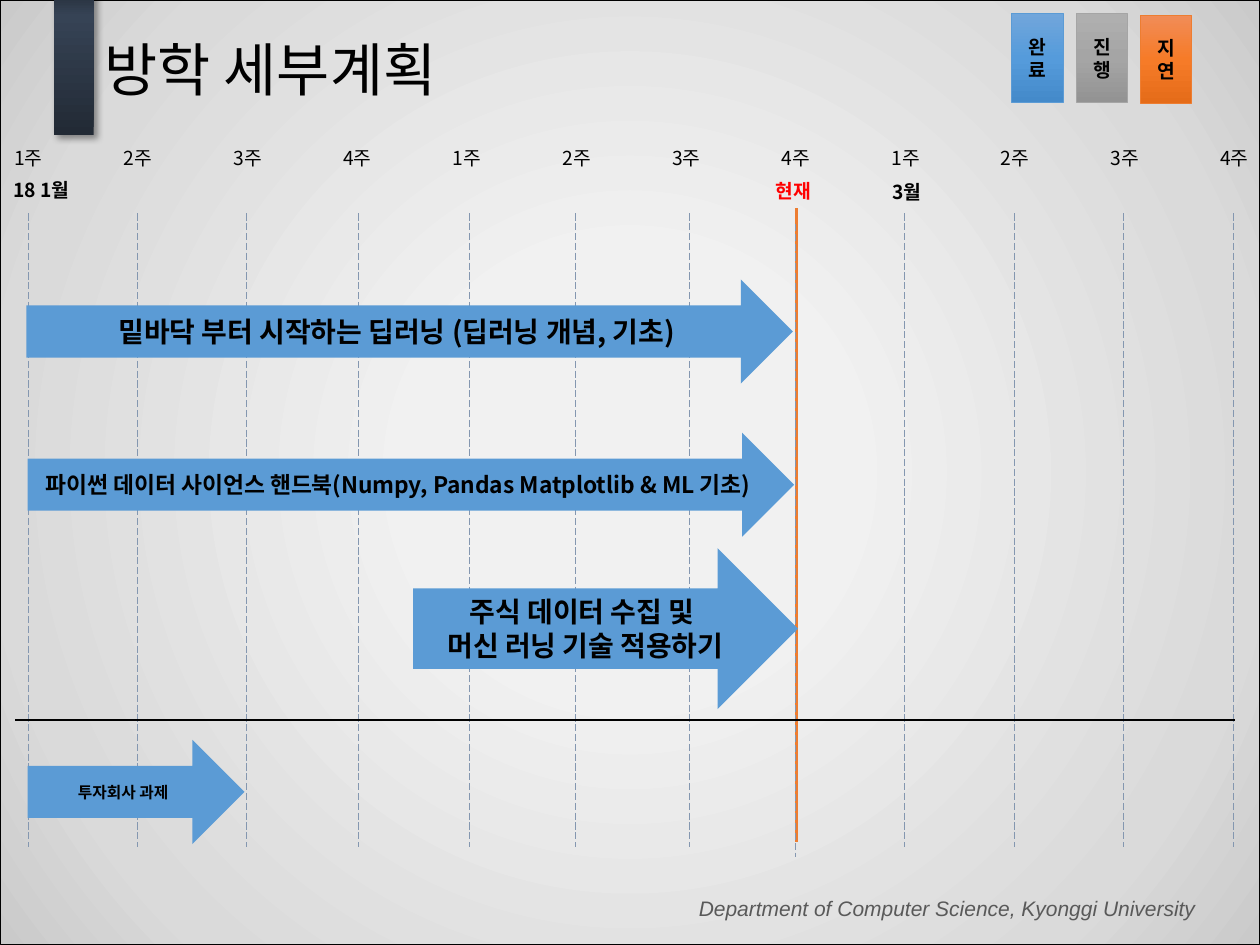
from lxml import etree
from pptx import Presentation
from pptx.dml.color import RGBColor
from pptx.enum import dml, shapes, text
from pptx.oxml import ns, parse_xml
from pptx.util import Pt

BLACK = RGBColor(0x00, 0x00, 0x00)
RED = RGBColor(0xFF, 0x00, 0x00)
GRAY = RGBColor(0x59, 0x59, 0x59)
BLUE = RGBColor(0x5B, 0x9B, 0xD5)
SILVER = RGBColor(0xA5, 0xA5, 0xA5)
ORANGE = RGBColor(0xED, 0x7D, 0x31)
GRID = RGBColor(0x84, 0x97, 0xB0)

KOREAN = "Noto Sans CJK KR"
MIDDLE = text.MSO_ANCHOR.MIDDLE
CENTER = text.PP_ALIGN.CENTER

WEEK_STEP = 62.65
GRID_X = [16, 78.5, 141, 205, 268.5, 329, 394, 454.5, 517, 579.5, 642, 705]
NOW_WEEK = 7

# Name, left, top, line colour, gradient stops
LEGEND = [
    ("완\n료", 578, 8, BLUE, [(0, "71A6DB"), (50, "559BDB"), (100, "448ACA")]),
    ("진\n행", 615, 8, SILVER, [(0, "AFAFAF"), (50, "A5A5A5"), (100, "939393")]),
    ("지\n연", 651.5, 8.75, ORANGE, [(0, "F18C57"), (50, "F67B28"), (100, "E56C19")]),
]

# Name, left, top, width, height, text size
TASKS = [
    ("밑바닥 부터 시작하는 딥러닝 (딥러닝 개념, 기초)", 15.1, 159.7, 438, 59.5, 16),
    ("파이썬 데이터 사이언스 핸드북(Numpy, Pandas Matplotlib & ML 기초)",
     15.8, 247.2, 438, 59.5, 13),
    ("주식 데이터 수집 및 \n머신 러닝 기술 적용하기", 236, 313.2, 220, 92, 16),
    ("투자회사 과제", 15.8, 422.8, 124, 59.5, 9),
]


def write(tf, content, size=11, color=BLACK, bold=False, italic=False, font=KOREAN,
          align=CENTER, anchor=text.MSO_ANCHOR.TOP, side=7.2, spacing=None):
    tf.word_wrap = True
    tf.vertical_anchor = anchor
    tf.margin_left = tf.margin_right = Pt(side)
    tf.margin_top = tf.margin_bottom = Pt(3.6)
    for i, line in enumerate(content.split("\n")):
        p = tf.paragraphs[0] if i == 0 else tf.add_paragraph()
        p.alignment = align
        p.line_spacing = spacing
        r = p.add_run()
        r.text = line
        f = r.font
        f.name, f.size, f.bold, f.italic = font, Pt(size), bold, italic
        f.color.rgb = color
        ea = etree.SubElement(r._r.get_or_add_rPr(), ns.qn("a:ea"))
        ea.set("typeface", font)


def add_label(s, content, x, y, w, h, **fmt):
    sp = s.shapes.add_textbox(Pt(x), Pt(y), Pt(w), Pt(h))
    write(sp.text_frame, content, **fmt)


def add_block(s, kind, x, y, w, h, fill=BLUE, line=None):
    sp = s.shapes.add_shape(kind, Pt(x), Pt(y), Pt(w), Pt(h))
    sp.shadow.inherit = False
    sp.fill.solid()
    sp.fill.fore_color.rgb = fill
    if line is None:
        sp.line.fill.background()
    else:
        sp.line.color.rgb = line
        sp.line.width = Pt(0.5)
    return sp


def set_gradient(sp, stops, angle=None):
    """Linear gradient at an angle, or a circular one from the centre."""
    gs = "".join(f'<a:gs pos="{pos * 1000}"><a:srgbClr val="{c}"/></a:gs>' for pos, c in stops)
    if angle is None:
        way = ('<a:path path="circle"><a:fillToRect l="50000" t="50000" '
               'r="50000" b="50000"/></a:path>')
    else:
        way = f'<a:lin ang="{angle * 60000}" scaled="0"/>'
    solid = sp._element.spPr.find(ns.qn("a:solidFill"))
    solid.getparent().replace(solid, parse_xml(
        f'<a:gradFill {ns.nsdecls("a")} rotWithShape="1"><a:gsLst>{gs}</a:gsLst>{way}</a:gradFill>'))


def set_shadow(sp):
    sp._element.spPr.find(ns.qn("a:effectLst")).append(parse_xml(
        f'<a:outerShdw {ns.nsdecls("a")} blurRad="{Pt(4)}" dist="{Pt(3)}" dir="2700000">'
        '<a:srgbClr val="000000"><a:alpha val="40000"/></a:srgbClr></a:outerShdw>'))


def add_line(s, x1, y1, x2, y2, color, width, dash=None):
    c = s.shapes.add_connector(shapes.MSO_CONNECTOR.STRAIGHT, Pt(x1), Pt(y1), Pt(x2), Pt(y2))
    c.line.color.rgb = color
    c.line.width = Pt(width)
    if dash is not None:
        c.line.dash_style = dash
    etree.SubElement(c._element.spPr, ns.qn("a:effectLst"))


def add_title(s, content):
    sp = s.shapes.title
    sp.left, sp.top, sp.width, sp.height = Pt(52.6), Pt(-10.8), Pt(620.6), Pt(104.4)
    write(sp.text_frame, content, size=33, align=text.PP_ALIGN.LEFT, anchor=MIDDLE, spacing=0.9)


def main():
    prs = Presentation()
    prs.slide_width, prs.slide_height = Pt(720), Pt(540)
    s = prs.slides.add_slide(prs.slide_layouts[5])
    rect = shapes.MSO_SHAPE.RECTANGLE

    # Backdrop, footer and title bar; the title goes above them
    backdrop = add_block(s, rect, 0, 0, 720, 540, line=BLACK)
    set_gradient(backdrop, [(27, "F1F1F1"), (80, "DADADA"), (100, "CACACA")])
    s.shapes._spTree.insert(2, backdrop._element)
    add_label(s, "Department of Computer Science, Kyonggi University", 139, 508.3, 551.5, 21.6,
              size=12, color=GRAY, italic=True, font="Arial", align=text.PP_ALIGN.RIGHT)
    bar = add_block(s, rect, 31, -8, 22.5, 85)
    set_gradient(bar, [(0, "222A35"), (80, "364355"), (100, "222A35")], angle=270)
    set_shadow(bar)
    add_title(s, "방학 세부계획")

    # Status legend
    for name, x, y, line, stops in LEGEND:
        sp = add_block(s, rect, x, y, 29.5, 50.4, line=line)
        set_gradient(sp, stops, angle=90)
        write(sp.text_frame, name, bold=True, anchor=MIDDLE, side=0)

    # Current week, week grid and divider
    add_line(s, 455, 119, 455, 481, ORANGE, 1.5)
    for i, x in enumerate(GRID_X):
        top = 128 if i == NOW_WEEK else 122
        add_line(s, x, top, x, top + 362, GRID, 0.5, dml.MSO_LINE.LONG_DASH)
        add_label(s, f"{i % 4 + 1}주", -5 + i * WEEK_STEP, 80, 42.5, 21)
    add_line(s, 8.6, 411.5, 705.6, 411.5, BLACK, 1.5)

    # Month labels
    add_label(s, "18 1월", -11.5, 98.6, 70.5, 21, bold=True)
    add_label(s, " 3월", 481.7, 99.4, 70.5, 21, bold=True)
    add_label(s, "현재", 437, 99.4, 32.5, 19.4, color=RED, bold=True, anchor=MIDDLE, side=0)

    # Task arrows
    for name, x, y, w, h, size in TASKS:
        sp = add_block(s, shapes.MSO_SHAPE.RIGHT_ARROW, x, y, w, h)
        write(sp.text_frame, name, size=size, bold=True, anchor=MIDDLE, side=0)

    prs.save("out.pptx")


if __name__ == "__main__":
    main()
